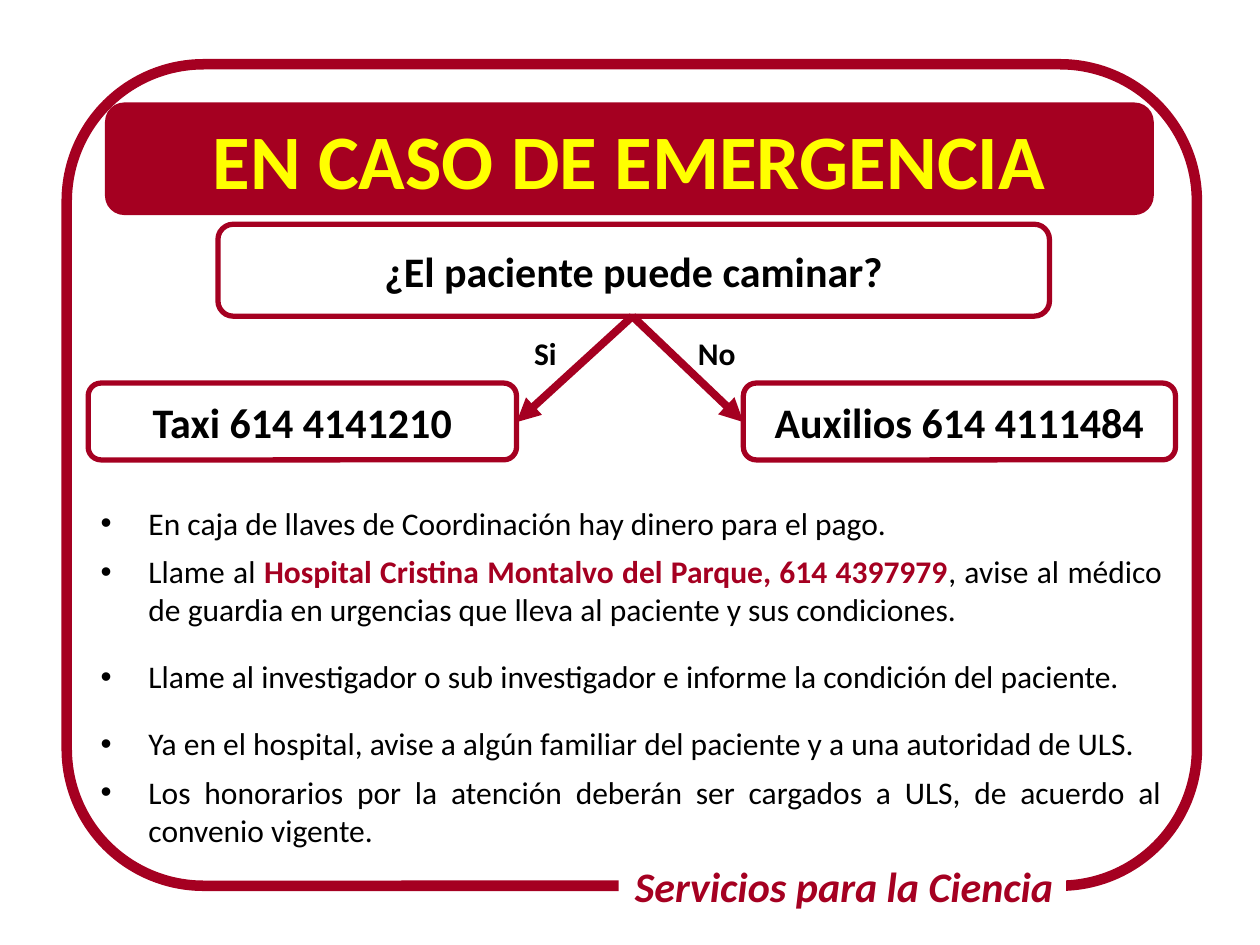
from lxml import etree
from pptx import Presentation
from pptx import util as u
from pptx.dml.color import RGBColor
from pptx.enum import shapes, text
from pptx.oxml.ns import qn

RED, YELLOW, WHITE, BLACK = "A50021", "FFFF00", "FFFFFF", "000000"
ALIGN = text.PP_ALIGN


def color(value):
    return RGBColor.from_string(value)


class Sheet:
    font = "Calibri"

    def __init__(self, s):
        self.s = s

    def style(self, r, size, c=BLACK, bold=False, italic=False):
        f = r.font
        f.name, f.size, f.bold, f.italic = self.font, u.Pt(size), bold, italic
        f.color.rgb = color(c)

    def box(self, at, line, width, fill=None, label="", size=24, c=BLACK):
        sp = self.s.shapes.add_shape(shapes.MSO_SHAPE.ROUNDED_RECTANGLE, *map(u.Inches, at))
        sp.shadow.inherit = False
        if fill:
            sp.fill.solid()
            sp.fill.fore_color.rgb = color(fill)
        else:
            sp.fill.background()
        sp.line.color.rgb = color(line)
        sp.line.width = u.Pt(width)
        if label:
            tf = sp.text_frame
            tf.text = label
            tf.vertical_anchor = text.MSO_ANCHOR.MIDDLE
            p = tf.paragraphs[0]
            p.alignment = ALIGN.CENTER
            self.style(p.runs[0], size, c, True)
        return sp

    def label(self, at, words, size, c=BLACK, italic=False, fill=None, align=ALIGN.LEFT):
        sp = self.s.shapes.add_textbox(*map(u.Inches, at))
        if fill:
            sp.fill.solid()
            sp.fill.fore_color.rgb = color(fill)
        tf = sp.text_frame
        tf.word_wrap = False
        tf.text = words
        p = tf.paragraphs[0]
        p.alignment = align
        self.style(p.runs[0], size, c, True, italic)

    def arrow(self, start, end):
        cx = self.s.shapes.add_connector(
            shapes.MSO_CONNECTOR.STRAIGHT, *map(u.Inches, start + end))
        cx.line.color.rgb = color(RED)
        cx.line.width = u.Pt(4.5)
        etree.SubElement(cx.line._get_or_add_ln(), qn("a:tailEnd"), type="triangle")
        etree.SubElement(cx._element.spPr, qn("a:effectLst"))

    def bullets(self, at, items, size):
        tf = self.s.shapes.add_textbox(*map(u.Inches, at)).text_frame
        tf.word_wrap = True
        for i, (spacing, parts) in enumerate(items):
            p = tf.add_paragraph() if i else tf.paragraphs[0]
            p.alignment = ALIGN.JUSTIFY
            p.line_spacing = spacing
            p.space_before = u.Pt(6 if i else 0)
            pPr = p._p.get_or_add_pPr()
            indent = u.Inches(0.38)
            pPr.set("marL", str(indent))
            pPr.set("indent", str(-indent))
            etree.SubElement(pPr, qn("a:buFont"), typeface="Arial")
            etree.SubElement(pPr, qn("a:buChar"), char="•")
            for words, strong in parts:
                r = p.add_run()
                r.text = words
                self.style(r, size, RED if strong else BLACK, strong)


prs = Presentation()
prs.slide_width, prs.slide_height = u.Inches(10), u.Inches(7.5)
sheet = Sheet(prs.slides.add_slide(prs.slide_layouts[6]))

sheet.box((0.53, 0.51, 8.97, 6.52), RED, 6)
sheet.label((4.91, 6.78, 3.55, 0.5), "Servicios para la Ciencia", 24, RED,
            italic=True, fill=WHITE, align=ALIGN.RIGHT)
sheet.box((0.84, 0.82, 8.31, 0.88), RED, 1, RED, "EN CASO DE EMERGENCIA", 44, YELLOW)

sheet.bullets((0.7, 3.8, 8.62, 3.01), [
    (1.5, [("En caja de llaves de Coordinación hay dinero para el pago.", False)]),
    (1.0, [("Llame al ", False),
           ("Hospital Cristina Montalvo del Parque, 614 4397979", True),
           (", avise al médico de guardia en urgencias que lleva al paciente "
            "y sus condiciones.", False)]),
    (1.5, [("Llame al investigador o sub investigador e informe la condición "
            "del paciente.", False)]),
    (1.5, [("Ya en el hospital, avise a algún familiar del paciente y a una "
            "autoridad de ULS.", False)]),
    (1.0, [("Los honorarios por la atención deberán ser cargados a ULS, de "
            "acuerdo al convenio vigente.", False)]),
], 18)

for at, words in (
    ((1.73, 1.78, 6.6, 0.73), "¿El paciente puede caminar?"),
    ((0.7, 3.04, 3.4, 0.61), "Taxi 614 4141210"),
    ((5.9, 3.04, 3.43, 0.61), "Auxilios 614 4111484"),
):
    sheet.box(at, RED, 3, WHITE, words)

for end_x, label_x, label_w, answer in ((4.1, 4.14, 0.38, "Si"), (5.9, 5.44, 0.5, "No")):
    sheet.arrow((5.02, 2.51), (end_x, 3.35))
    sheet.label((label_x, 2.6, label_w, 0.4), answer, 18)

prs.save("out.pptx")
